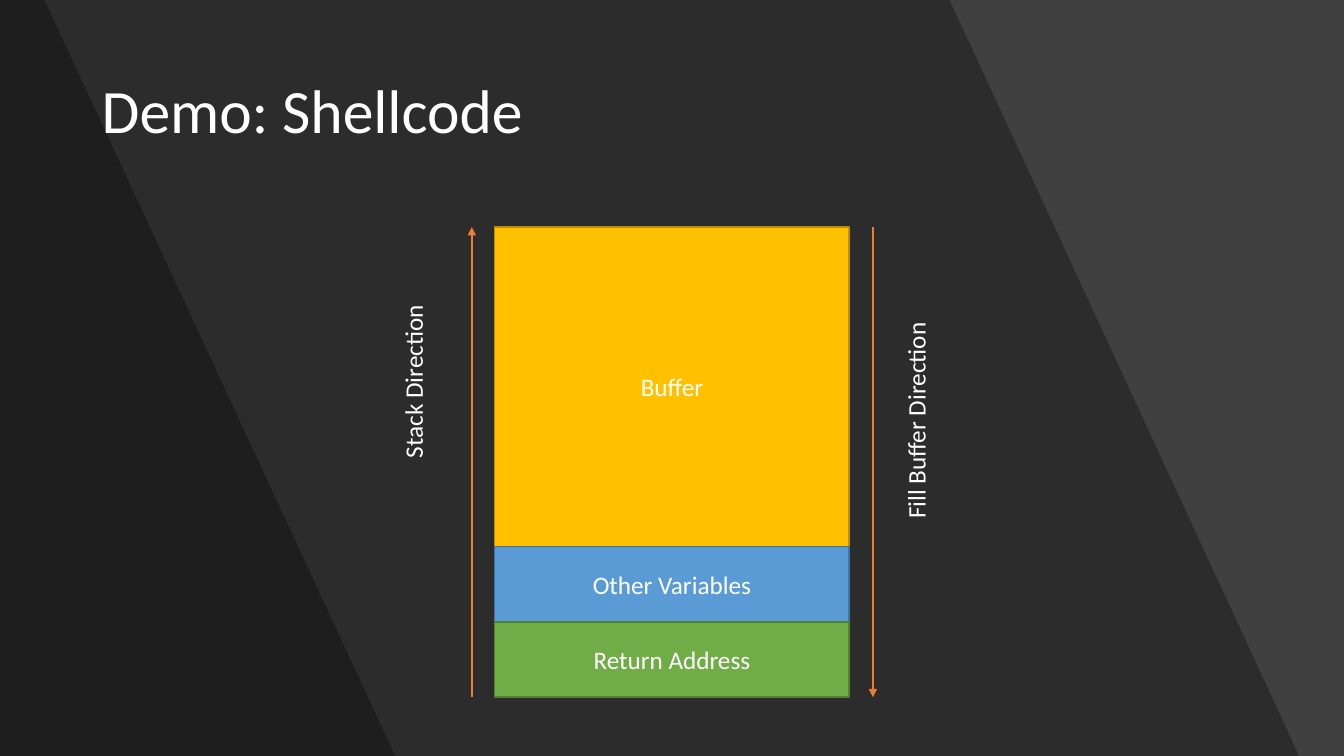
"""Build the shellcode demo slide: a stack layout between two direction arrows."""
from lxml import etree
from pptx import Presentation
from pptx.dml.color import RGBColor
from pptx.enum.shapes import MSO_CONNECTOR, MSO_SHAPE
from pptx.enum.text import MSO_ANCHOR, PP_ALIGN
from pptx.oxml.ns import qn
from pptx.util import Cm, Pt

RECT = MSO_SHAPE.RECTANGLE
STRAIGHT = MSO_CONNECTOR.STRAIGHT
MIDDLE, TOP = MSO_ANCHOR.MIDDLE, MSO_ANCHOR.TOP
LEFT, CENTER = PP_ALIGN.LEFT, PP_ALIGN.CENTER

COLORS = {
    "background": "404040", "band": "000000", "text": "FFFFFF", "arrow": "ED7D31",
    "buffer": "FFC000", "buffer_line": "BD8E00",
    "variables": "5B9BD5", "variables_line": "43739E",
    "address": "70AD47", "address_line": "538035",
}
FONT = {"name": "Calibri", "bold": False}
WIDTH, HEIGHT = 33.87, 19.05
STACK_LEFT, STACK_TOP, STACK_WIDTH = 12.47, 5.72, 8.93


def rgb(key):
    return RGBColor.from_string(COLORS[key])


def write(sp, text, size, align, anchor):
    tf = sp.text_frame
    tf.word_wrap = True
    tf.vertical_anchor = anchor
    p = tf.paragraphs[0]
    p.alignment = align
    r = p.add_run()
    r.text = text
    for name, value in {**FONT, "size": Pt(size)}.items():
        setattr(r.font, name, value)
    r.font.color.rgb = rgb("text")
    return p


prs = Presentation()
prs.slide_width, prs.slide_height = Cm(WIDTH), Cm(HEIGHT)
s = prs.slides.add_slide(prs.slide_layouts[5])
s.background.fill.solid()
s.background.fill.fore_color.rgb = rgb("background")

for top_right, bottom_right in [(23.93, 32.74), (1.12, 9.96)]:
    corners = [(top_right, 0), (bottom_right, HEIGHT), (0, HEIGHT)]
    builder = s.shapes.build_freeform(0, 0)
    builder.add_line_segments([(Cm(x), Cm(y)) for x, y in corners], close=True)
    sp = builder.convert_to_shape()
    sp.shadow.inherit = False
    sp.line.fill.background()
    sp.fill.solid()
    sp.fill.fore_color.rgb = rgb("band")
    color = sp.fill._xPr.find(qn("a:solidFill"))[0]
    etree.SubElement(color, qn("a:alpha"), val="30000")

title = s.shapes.title
title.left, title.top, title.width, title.height = Cm(2.31), Cm(1.02), Cm(29.24), Cm(3.68)
write(title, "Demo: Shellcode", 44, LEFT, MIDDLE).line_spacing = 0.9
s.shapes._spTree.append(title._element)

y = STACK_TOP
for text, key, height in [
    ("Buffer", "buffer", 8.05),
    ("Other Variables", "variables", 1.9),
    ("Return Address", "address", 1.9),
]:
    sp = s.shapes.add_shape(RECT, Cm(STACK_LEFT), Cm(y), Cm(STACK_WIDTH), Cm(height))
    sp.shadow.inherit = False
    sp.fill.solid()
    sp.fill.fore_color.rgb = rgb(key)
    sp.line.color.rgb = rgb(key + "_line")
    sp.line.width = Pt(1)
    write(sp, text, 18, CENTER, MIDDLE)
    y += height
stack_bottom = y

for text, x, start, end, label_at, label_width in [
    ("Fill Buffer Direction", 22, STACK_TOP, stack_bottom, (19.48, 8.81), 7.6),
    ("Stack Direction", 11.89, stack_bottom, STACK_TOP, (7.57, 8.05), 6.07),
]:
    arrow = s.shapes.add_connector(STRAIGHT, Cm(x), Cm(start), Cm(x), Cm(end))
    arrow.line.color.rgb = rgb("arrow")
    arrow.line.width = Pt(1.5)
    etree.SubElement(arrow.line._get_or_add_ln(), qn("a:tailEnd"), type="triangle")
    etree.SubElement(arrow._element.spPr, qn("a:effectLst"))
    left, top = label_at
    label = s.shapes.add_textbox(Cm(left), Cm(top), Cm(label_width), Cm(1.42))
    label.rotation = 270
    write(label, text, 18, LEFT, TOP)

prs.save("out.pptx")
